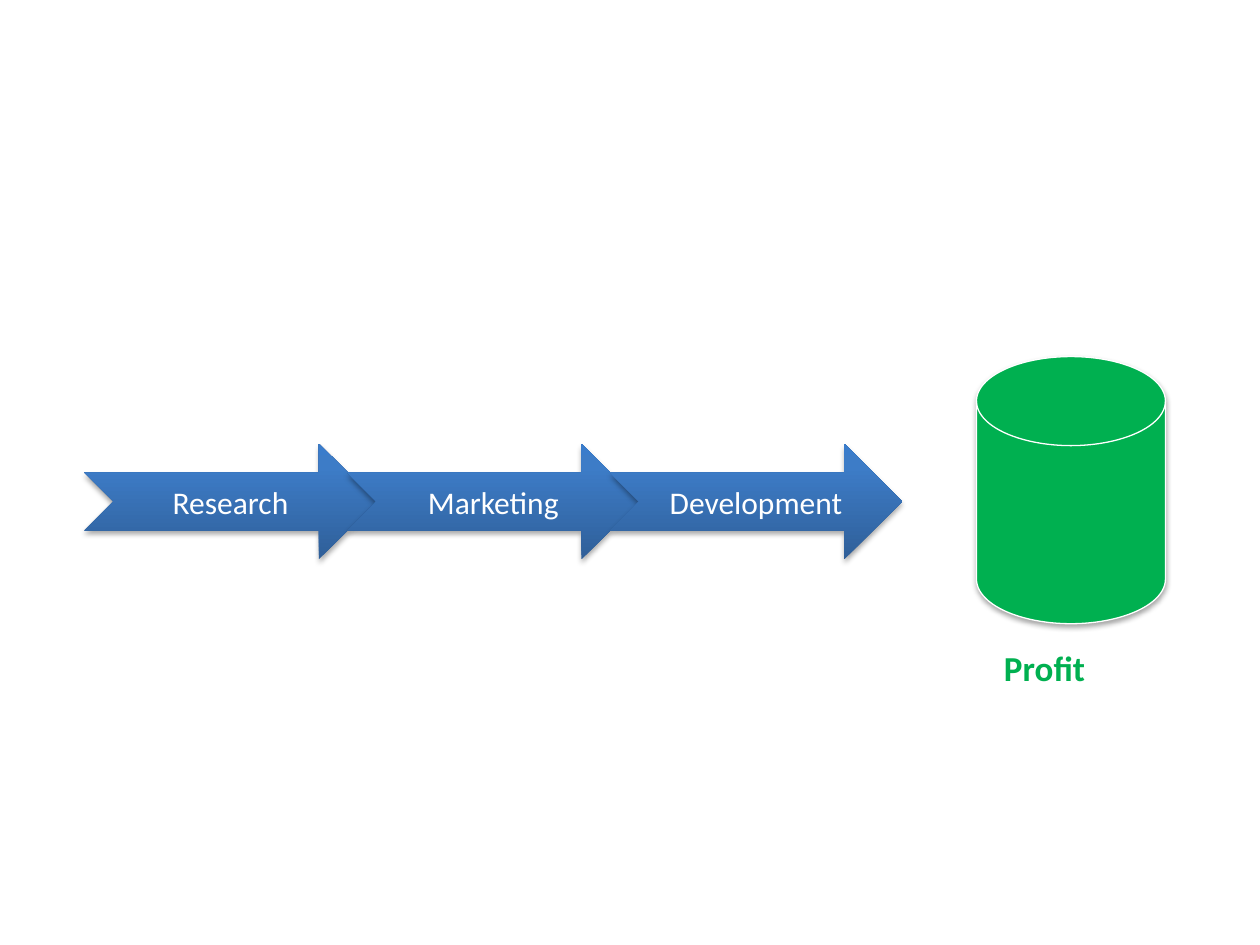
import copy
from dataclasses import dataclass

import pptx
import pptx.dml.color
import pptx.enum.shapes
import pptx.enum.text
import pptx.oxml
import pptx.util
from pptx.util import Inches

SHAPES = pptx.enum.shapes.MSO_SHAPE
SHADOW = """
<a:effectLst xmlns:a="http://schemas.openxmlformats.org/drawingml/2006/main">
  <a:outerShdw blurRad="40000" dist="23000" dir="5400000" rotWithShape="0">
    <a:srgbClr val="000000"><a:alpha val="35000"/></a:srgbClr>
  </a:outerShdw>
</a:effectLst>"""


@dataclass(frozen=True)
class Theme:
    font: str = "Calibri"
    white: str = "FFFFFF"
    green: str = "00B050"
    blues: tuple = ((0, "2F5F99"), (0.8, "3D7CC7"), (1, "3A7CCB"))
    step_size: int = 18
    result_size: int = 20


THEME = Theme()


def rgb(value):
    return pptx.dml.color.RGBColor.from_string(value)


def write_text(box, text, size, color, bold=False):
    """Write one centred line of text."""
    box.text_frame.word_wrap = True
    para = box.text_frame.paragraphs[0]
    para.alignment = pptx.enum.text.PP_ALIGN.CENTER
    span = para.add_run()
    span.text = text
    span.font.color.rgb = rgb(color)
    formats = {"name": THEME.font, "size": pptx.util.Pt(size), "bold": bold}
    for name, value in formats.items():
        setattr(span.font, name, value)


def add_shadow(shape):
    """Add a soft shadow below; call it after fill and line are set."""
    shape.shadow.inherit = False
    properties = shape.element.spPr
    properties.remove(properties.find(pptx.oxml.ns.qn("a:effectLst")))
    properties.append(pptx.oxml.parse_xml(SHADOW))


def fill_gradient(shape, stops):
    """Fill from bottom to top with (position, colour) stops."""
    shape.fill.gradient()
    shape.fill.gradient_angle = 90
    stop_list = shape.element.spPr.find(".//" + pptx.oxml.ns.qn("a:gsLst"))
    while len(stop_list) < len(stops):
        stop_list.append(copy.deepcopy(stop_list[0]))
    for stop, (position, color) in zip(shape.fill.gradient_stops, stops):
        stop.position = position
        stop.color.rgb = rgb(color)


def add_step(page, left, text):
    arrow = page.shapes.add_shape(
        SHAPES.NOTCHED_RIGHT_ARROW,
        Inches(left), Inches(3.52), Inches(2.32), Inches(0.92))
    fill_gradient(arrow, THEME.blues)
    arrow.line.fill.background()
    add_shadow(arrow)
    arrow.text_frame.vertical_anchor = pptx.enum.text.MSO_ANCHOR.MIDDLE
    write_text(arrow, text, THEME.step_size, THEME.white)


def add_disk(page, left, top, width, height):
    disk = page.shapes.add_shape(
        SHAPES.FLOWCHART_MAGNETIC_DISK,
        Inches(left), Inches(top), Inches(width), Inches(height))
    disk.fill.solid()
    disk.fill.fore_color.rgb = rgb(THEME.green)
    disk.line.color.rgb = rgb(THEME.white)
    disk.line.width = pptx.util.Pt(0.75)
    add_shadow(disk)


def add_label(page, left, top, width, height, text):
    label = page.shapes.add_textbox(
        Inches(left), Inches(top), Inches(width), Inches(height))
    label.text_frame.auto_size = pptx.enum.text.MSO_AUTO_SIZE.SHAPE_TO_FIT_TEXT
    write_text(label, text, THEME.result_size, THEME.green, bold=True)


def main():
    deck = pptx.Presentation()
    deck.slide_width, deck.slide_height = Inches(10), Inches(7.5)
    page = deck.slides.add_slide(deck.slide_layouts.get_by_name("Blank"))
    for index, step in enumerate(("Research", "Marketing", "Development")):
        add_step(page, 0.67 + index * 2.085, step)
    add_disk(page, 7.75, 2.83, 1.5, 2.12)
    add_label(page, 7.75, 5.08, 1.08, 0.44, "Profit")
    deck.save("out.pptx")


if __name__ == "__main__":
    main()
